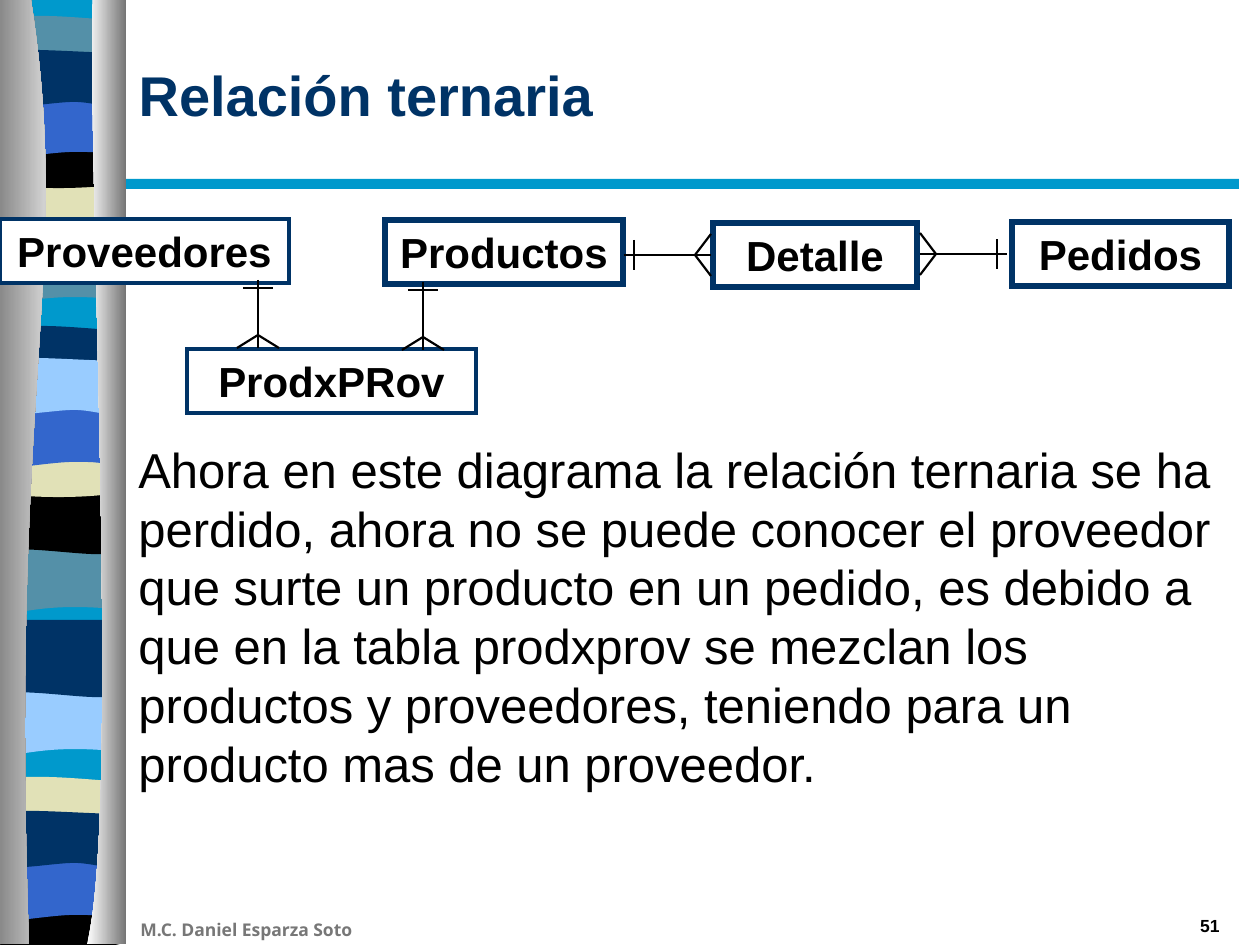
from pptx import Presentation
from pptx.dml.color import RGBColor as RGB
from pptx.enum.shapes import MSO_CONNECTOR as CONN, MSO_SHAPE as SHAPE
from pptx.enum.text import MSO_ANCHOR as ANCHOR, PP_ALIGN as ALIGN
from pptx.oxml.ns import qn
from pptx.util import Inches, Pt
from lxml import etree

SCALE = Inches(1) / 126
NAVY = RGB(0x00, 0x33, 0x66)
CYAN = RGB(0x00, 0x99, 0xCC)
TEAL = RGB(0x54, 0x90, 0xA8)
SAND = RGB(0xE1, 0xE1, 0xB7)
BLUE = RGB(0x33, 0x66, 0xCC)
SKY = RGB(0x99, 0xCC, 0xFF)
BLACK = RGB(0, 0, 0)
WHITE = RGB(0xFF, 0xFF, 0xFF)
GREY = RGB(0x76, 0x76, 0x76)
FOOTER_GREY = RGB(0x77, 0x77, 0x77)

WAVES = {
    "dip": [(129, 0), (129, 67), (39, 57, 22, 77, 0, 67), (0, 0)],
    "swell": [(129, -9), (129, 65), (107, 75, 39, 58, 0, 65), (0, -9)],
    "crest": [(129, 1), (129, 42), (107, 48, 22, 48, 0, 42), (0, 1),
              (8, -5, 29, -4, 50, -4), (72, -4, 113, 0, 129, 1)],
    "bowl": [(129, 0), (129, 46), (107, 54, 22, 54, 0, 46), (0, 0),
             (79, 6, 102, 0, 129, 0)],
    "arch": [(129, 0), (129, 66), (109, 59, 101, 59, 80, 59),
             (59, 59, 20, 66, 0, 66), (0, 0)],
    "ripple": [(129, 1), (129, 52), (121, 59, 101, 50, 80, 50),
               (59, 50, 14, 59, 0, 52), (0, 1), (19, -6, 88, 1, 129, 1)],
}
BANDS = [
    ("dip", 233, TEAL), ("swell", 178, SAND), ("crest", 20, TEAL),
    ("bowl", 136, BLACK), ("arch", 93, BLUE), ("ripple", 52, NAVY),
    ("dip", 543, TEAL), ("swell", 486, BLACK), ("crest", 330, NAVY),
    ("bowl", 445, SAND), ("arch", 403, BLUE), ("ripple", 360, SKY),
    ("dip", 685, SKY), ("swell", 629, NAVY), ("crest", 781, SAND),
    ("bowl", 897, BLACK), ("arch", 856, BLUE), ("ripple", 813, NAVY),
]
LEFT_PILLAR = [(43, 0), (85, 272, 21, 373, 41, 944), (1, 944), (0, 0)]
RIGHT_PILLAR = [(6, 0), (0, 158, 34, 814, 0, 944), (39, 944), (39, 0)]


def px(n):
    return round(n * SCALE)


def place(sp, box):
    sp.left, sp.top, sp.width, sp.height = map(px, box)


def outline(s, left, top, steps):
    points = [(left + step[i], top + step[i + 1])
              for step in steps for i in range(0, len(step), 2)]
    fb = s.shapes.build_freeform(*points[0], scale=SCALE)
    fb.add_line_segments(points[1:], close=False)
    sp = fb.convert_to_shape()
    sp.shadow.inherit = False
    sp.line.fill.background()
    segments = iter(list(sp._element.iter(qn("a:lnTo"))))
    for step in steps[1:]:
        first = next(segments)
        if len(step) == 6:
            first.tag = qn("a:cubicBezTo")
            for segment in (next(segments), next(segments)):
                first.append(segment[0])
                segment.getparent().remove(segment)
    etree.SubElement(next(sp._element.iter(qn("a:moveTo"))).getparent(), qn("a:close"))
    return sp


def paint(sp, color):
    sp.fill.solid()
    sp.fill.fore_color.rgb = color


def rect(s, box, color=None):
    sp = s.shapes.add_shape(SHAPE.RECTANGLE, *map(px, box))
    sp.shadow.inherit = False
    sp.line.fill.background()
    if color is None:
        sp.fill.background()
    else:
        paint(sp, color)
    return sp


def write(sp, text, size, color, bold=True, font="Arial", align=ALIGN.LEFT, wrap=True):
    tf = sp.text_frame
    tf.word_wrap = wrap
    p = tf.paragraphs[0]
    p.alignment = align
    r = p.add_run()
    r.text = text
    r.font.size, r.font.bold, r.font.name = Pt(size), bold, font
    r.font.color.rgb = color


def textbox(s, box, *args, **kwargs):
    write(s.shapes.add_textbox(*map(px, box)), *args, **kwargs)


def sidebar(s, left, top):
    outline(s, left, top, [(129, 0), (129, 942), (0, 942), (0, 0)])
    paint(s.shapes[-1], CYAN)
    for wave, y, color in BANDS:
        paint(outline(s, left, top + y, WAVES[wave]), color)
    for dx, steps, colors in ((-6, LEFT_PILLAR, (GREY, WHITE)),
                              (93, RIGHT_PILLAR, (WHITE, GREY))):
        sp = outline(s, left + dx, top, steps)
        sp.fill.gradient()
        sp.fill.gradient_angle = 0
        for stop, color, position in zip(sp.fill.gradient_stops, colors, (0, 1)):
            stop.color.rgb, stop.position = color, position


def header(s, left, top):
    title = s.shapes.title
    place(title, (left, top, 1106, 158))
    title.text_frame.vertical_anchor = ANCHOR.MIDDLE
    write(title, "Relación ternaria", 32, NAVY)
    rect(s, (left, top + 164, 1113, 10), CYAN)


def entity(s, left, top, width, name, weight, color):
    sp = rect(s, (left, top, width, 64), color)
    sp.line.color.rgb, sp.line.width = NAVY, Pt(weight)
    etree.SubElement(sp.line._get_or_add_ln(), qn("a:miter"), lim="800000")
    sp.text_frame.vertical_anchor = ANCHOR.MIDDLE
    write(sp, name, 24, BLACK, align=ALIGN.CENTER, wrap=False)


def one_to_many(s, x, y, dx, dy, length, bar, foot):
    def point(along, across):
        return px(x + along * dx + across * dy), px(y + along * dy + across * dx)

    apex = (length - foot, 0)
    for a, b in (((0, 0), (length, 0)), ((bar, -15), (bar, 15)),
                 (apex, (length, -21)), (apex, (length, 21))):
        c = s.shapes.add_connector(CONN.STRAIGHT, *point(*a), *point(*b))
        c.line.color.rgb, c.line.width = BLACK, Pt(1.25)
        etree.SubElement(c._element.spPr, qn("a:effectLst"))


def diagram(s, left, top):
    for x, y, width, name, weight, color in (
            (385, 1, 238, "Productos", 3, None),
            (0, 0, 289, "Proveedores", 2.25, WHITE),
            (1012, 3, 217, "Pedidos", 3, None),
            (713, 4, 204, "Detalle", 3, None),
            (187, 130, 289, "ProdxPRov", 2.25, WHITE)):
        entity(s, left + x, top + y, width, name, weight, color)
    for x, y, dx, dy, length, bar, foot in (
            (624, 36, 1, 0, 87, 10, 16), (1007, 35, -1, 0, 87, 10, 16),
            (258, 61, 0, 1, 68, 8, 13), (423, 63, 0, 1, 68, 8, 13)):
        one_to_many(s, left + x, top + y, dx, dy, length, bar, foot)


def explanation(s, box):
    textbox(s, box,
            "Ahora en este diagrama la relación ternaria se ha perdido, "
            "ahora no se puede conocer el proveedor que surte un producto "
            "en un pedido, es debido a que en la tabla prodxprov se mezclan "
            "los productos y proveedores, teniendo para un producto mas de "
            "un proveedor.", 28, BLACK, bold=False)


def footer(s, left, top):
    textbox(s, (left, top + 4, 357, 34), "M.C. Daniel Esparza Soto", 10,
            FOOTER_GREY, font="Open Sans")
    textbox(s, (left + 842, top, 262, 33), "51", 10, BLACK, align=ALIGN.RIGHT)


prs = Presentation()
prs.slide_width, prs.slide_height = Inches(10), Inches(7.5)
s = prs.slides.add_slide(prs.slide_layouts[5])
sidebar(s, -6, 0)
header(s, 126, 15)
explanation(s, (126, 433, 1106, 179))
diagram(s, 0, 219)
footer(s, 128, 909)
prs.save("out.pptx")
